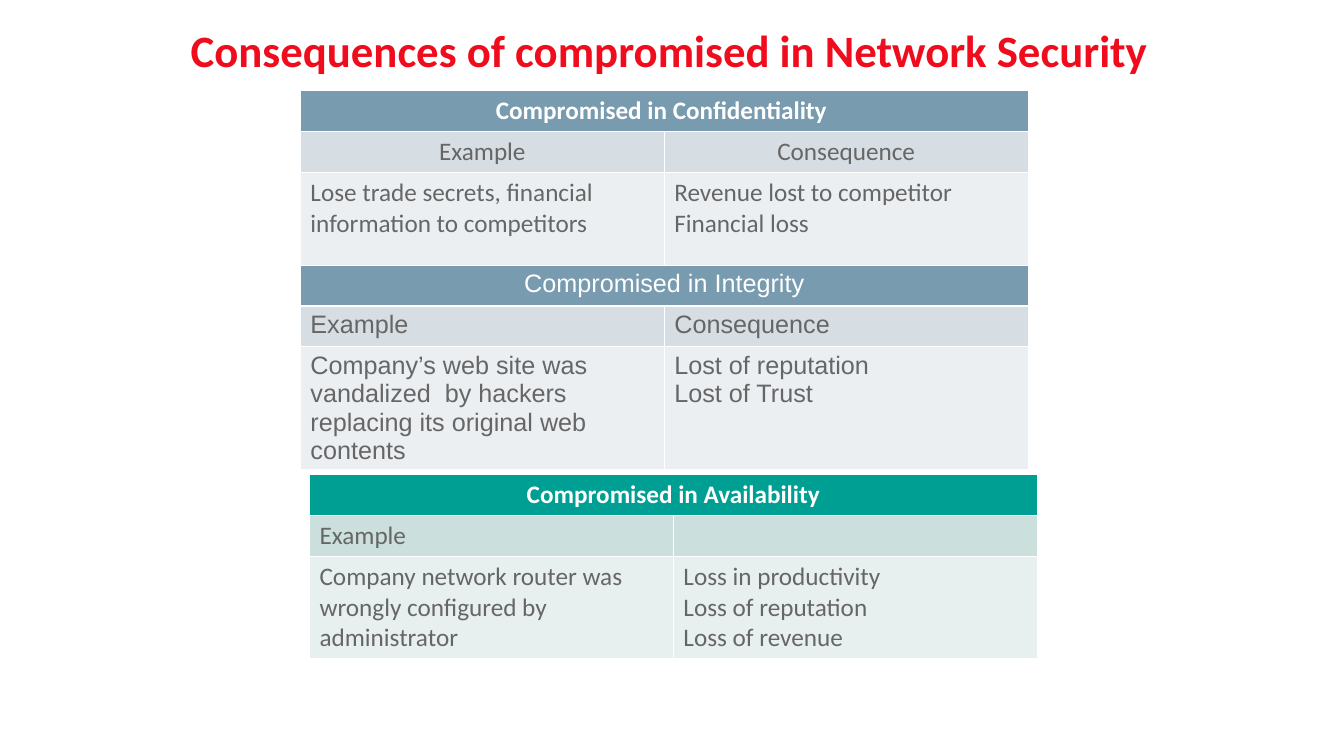
from pptx import Presentation
from pptx.dml.color import RGBColor
from pptx.enum.text import MSO_ANCHOR, MSO_AUTO_SIZE, PP_ALIGN
from pptx.util import Cm, Pt

WHITE, GREY, RED = "FFFFFF", "666666", "EF0C1D"
BLUES = ("789BAF", "D6DEE3", "ECEFF2")
GREENS = ("009F93", "CBDFDC", "E7F0EE")
CENTER, LEFT = PP_ALIGN.CENTER, PP_ALIGN.LEFT

TABLE_WIDTH = 18.34
ROW_HEIGHTS = (1.03, 1.03, 2.54)

# box, heading, column labels, example, consequences, fills, format
COMPROMISES = [
    dict(left=7.57, top=2.29, heading="Compromised in Confidentiality ",
         labels=("Example", "Consequence"),
         example="Lose trade secrets, financial information to competitors",
         consequences=("Revenue lost to competitor", "Financial loss"),
         fills=BLUES, font="Calibri", heading_bold=True, label_align=CENTER),
    dict(left=7.57, top=6.68, heading="Compromised in Integrity",
         labels=("Example", "Consequence"),
         example="Company’s web site was vandalized  by hackers "
                 "replacing its original web contents",
         consequences=("Lost of reputation", "Lost of Trust"),
         fills=BLUES, font="Arial", heading_bold=False, label_align=LEFT),
    dict(left=7.8, top=11.96, heading="Compromised in Availability",
         labels=("Example", ""),
         example="Company network router was wrongly configured by administrator",
         consequences=("Loss in productivity", "Loss of reputation",
                       "Loss of revenue"),
         fills=GREENS, font="Calibri", heading_bold=True, label_align=LEFT),
]


def rgb(hex_code):
    return RGBColor.from_string(hex_code)


def format_text(frame, align, color, **font_values):
    for paragraph in frame.paragraphs:
        paragraph.alignment = align
        paragraph.font.color.rgb = rgb(color)
        for name, value in font_values.items():
            setattr(paragraph.font, name, value)


def add_title(slide, left, top, width, height):
    title = slide.shapes.title
    box = dict(left=left, top=top, width=width, height=height)
    for name, value in box.items():
        setattr(title, name, Cm(value))
    frame = title.text_frame
    frame.text = "Consequences of compromised in Network Security"
    frame.auto_size = MSO_AUTO_SIZE.NONE
    frame.vertical_anchor = MSO_ANCHOR.MIDDLE
    format_text(frame, LEFT, RED, name="Calibri", size=Pt(32), bold=True)


def add_compromise_table(slide, left, top, heading, labels, example,
                         consequences, fills, font, heading_bold, label_align):
    """Add a table with a merged heading, a label row and a detail row."""
    table = slide.shapes.add_table(
        3, 2, Cm(left), Cm(top), Cm(TABLE_WIDTH), Cm(sum(ROW_HEIGHTS))).table
    table.cell(0, 0).merge(table.cell(0, 1))
    rows = [
        ((heading, ""), CENTER, WHITE, heading_bold),
        (labels, label_align, GREY, False),
        ((example, "\n".join(consequences)), LEFT, GREY, False),
    ]
    for r, (texts, align, color, bold) in enumerate(rows):
        table.rows[r].height = Cm(ROW_HEIGHTS[r])
        for c, text in enumerate(texts):
            cell = table.cell(r, c)
            cell.fill.solid()
            cell.fill.fore_color.rgb = rgb(fills[r])
            if text:
                cell.text = text
            format_text(cell.text_frame, align, color,
                        name=font, size=Pt(18), bold=bold)


def main():
    presentation = Presentation()
    presentation.slide_width, presentation.slide_height = Cm(33.87), Cm(19.05)
    slide = presentation.slides.add_slide(presentation.slide_layouts[5])
    add_title(slide, 4.55, 0.23, 24.77, 2.06)
    for compromise in COMPROMISES:
        add_compromise_table(slide, **compromise)
    presentation.save("out.pptx")


if __name__ == "__main__":
    main()
